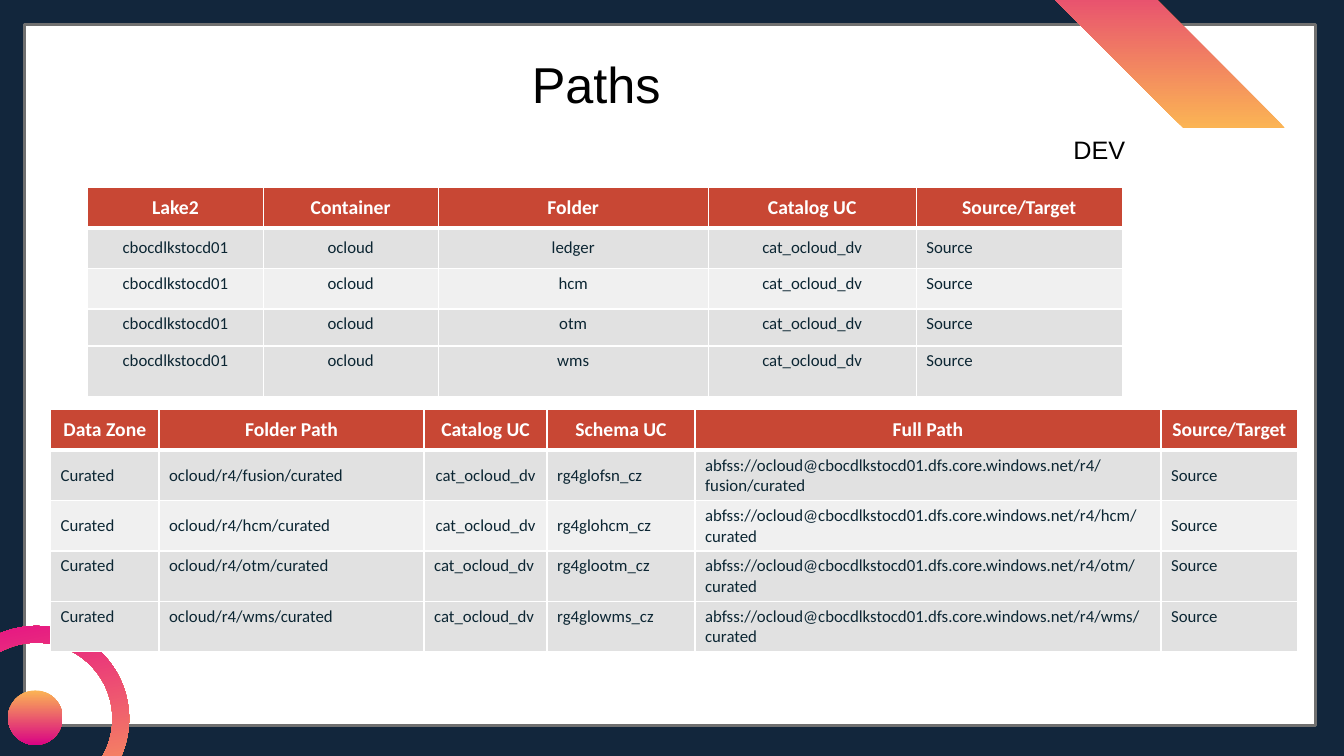
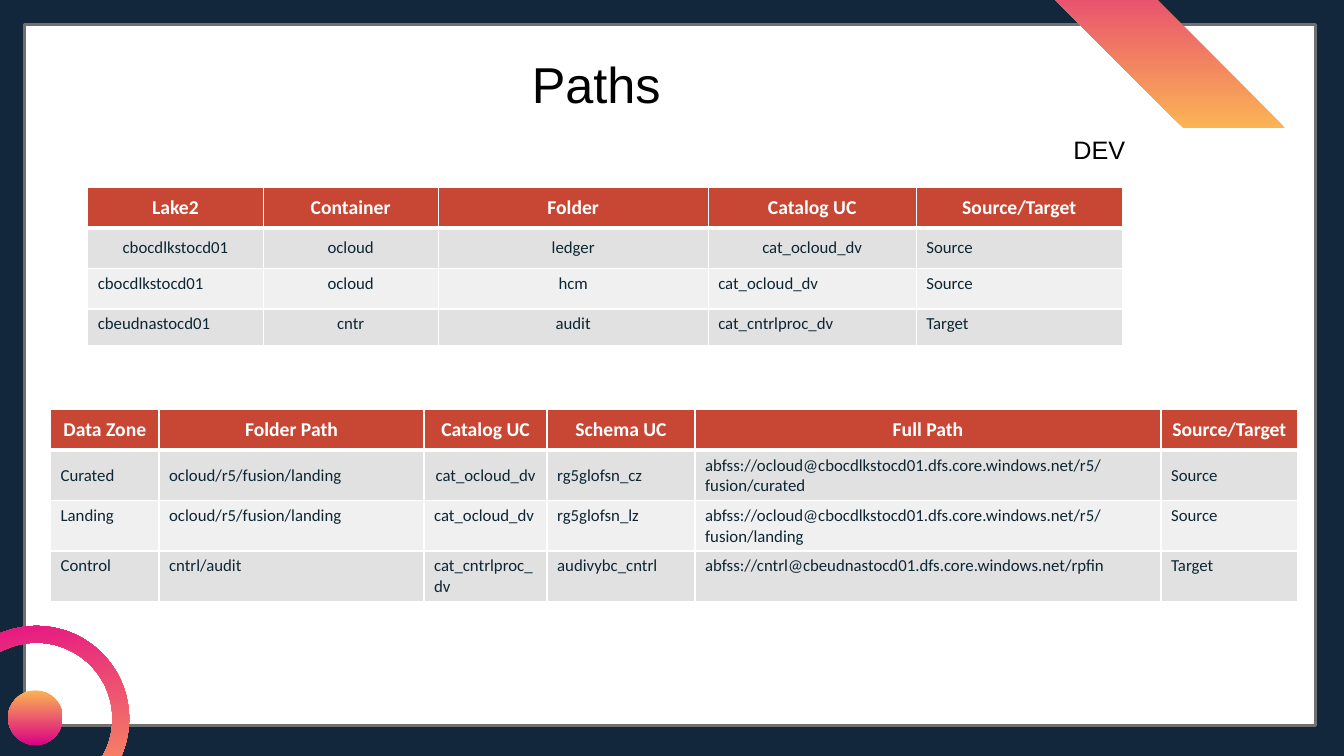
from dataclasses import dataclass

from lxml import etree
from pptx import Presentation
from pptx.dml.color import RGBColor
from pptx.enum.shapes import MSO_SHAPE
from pptx.enum.text import MSO_ANCHOR, MSO_AUTO_SIZE, PP_ALIGN
from pptx.oxml.ns import qn
from pptx.util import Pt

RECTANGLE, DONUT = MSO_SHAPE.RECTANGLE, MSO_SHAPE.DONUT
OVAL, DIAGONAL_STRIPE = MSO_SHAPE.OVAL, MSO_SHAPE.DIAGONAL_STRIPE
TOP, MIDDLE = MSO_ANCHOR.TOP, MSO_ANCHOR.MIDDLE
ALIGNMENTS = {"l": PP_ALIGN.LEFT, "c": PP_ALIGN.CENTER}
NO_AUTOFIT = MSO_AUTO_SIZE.NONE
TITLE_ONLY = 5


@dataclass(frozen=True)
class Theme:
    navy: str = "12263C"
    white: str = "FFFFFF"
    frame: str = "707070"
    orange: str = "FBB454"
    pink: str = "E3028A"
    magenta: str = "D90384"
    black: str = "000000"
    header: str = "C84734"
    ink: str = "0C2633"
    row: str = "E1E1E1"
    row_light: str = "F0F0F0"
    heading_font: str = "Arial"
    table_font: str = "Calibri"
    title_size: float = 36
    label_size: float = 18
    header_size: float = 14
    cell_size: float = 12


THEME = Theme()

# Table geometry: left, top, column widths
STORAGE_GRID = (62.7, 133.9, (125.3, 125, 192.9, 148.6, 147.1))
PATH_GRID = (36.1, 292.5, (77.5, 189.3, 87.9, 105.7, 332.9, 97.5))
STORAGE_HEIGHTS = (28.8, 28.8, 29.2, 26.4, 36.4)
PATH_HEIGHTS = (29, 36, 36, 36, 36)

# Rows: vertical anchor, alignment of each cell, texts
STORAGE_HEADER = (MIDDLE, "ccccc", ("Lake2", "Container", "Folder", "Catalog UC", "Source/Target"))
PATH_HEADER = (MIDDLE, "cccccc", ("Data Zone", "Folder Path", "Catalog UC", "Schema UC",
                                  "Full Path", "Source/Target"))
LAKE = "abfss://ocloud@cbocdlkstocd01.dfs.core.windows.net"
R4_STORAGE_FOLDERS = (("ledger", MIDDLE), ("hcm", TOP), ("otm", TOP), ("wms", TOP))
R4_PATH_FOLDERS = (("fusion", "fsn", MIDDLE, "c"), ("hcm", "hcm", MIDDLE, "c"),
                   ("otm", "otm", TOP, "l"), ("wms", "wms", TOP, "l"))

R4_STORAGE = [STORAGE_HEADER] + [
    (anchor, "ccccl", ("cbocdlkstocd01", "ocloud", folder, "cat_ocloud_dv", "Source"))
    for folder, anchor in R4_STORAGE_FOLDERS]
R4_PATHS = [PATH_HEADER] + [
    (anchor, f"ll{catalog_align}lll",
     ("Curated", f"ocloud/r4/{folder}/curated", "cat_ocloud_dv", f"rg4glo{code}_cz",
      f"{LAKE}/r4/{folder}/curated", "Source"))
    for folder, code, anchor, catalog_align in R4_PATH_FOLDERS]

R5_STORAGE = [
    STORAGE_HEADER,
    (MIDDLE, "ccccl", ("cbocdlkstocd01", "ocloud", "ledger", "cat_ocloud_dv", "Source")),
    (TOP, "lccll", ("cbocdlkstocd01", "ocloud", "hcm", "cat_ocloud_dv", "Source")),
    (TOP, "lccll", ("cbeudnastocd01", "cntr", "audit", "cat_cntrlproc_dv", "Target")),
]
R5_PATHS = [
    PATH_HEADER,
    (MIDDLE, "llclll", ("Curated", "ocloud/r5/fusion/landing", "cat_ocloud_dv",
                        "rg5glofsn_cz", f"{LAKE}/r5/fusion/curated", "Source")),
    (TOP, "llllll", ("Landing", "ocloud/r5/fusion/landing", "cat_ocloud_dv",
                     "rg5glofsn_lz", f"{LAKE}/r5/fusion/landing", "Source")),
    (TOP, "llllll", ("Control", "cntrl/audit", "cat_cntrlproc_dv", "audivybc_cntrl",
                     "abfss://cntrl@cbeudnastocd01.dfs.core.windows.net/rpfin", "Target")),
]


def color(value):
    return RGBColor.from_string(value)


def write(paragraph, text, font_name, size, ink, bold=False):
    run = paragraph.add_run()
    run.text = text
    font = run.font
    font.name, font.size, font.bold = font_name, Pt(size), bold
    font.color.rgb = color(ink)


def add_preset(slide, preset, left, top, width, height, adjustment=None):
    shape = slide.shapes.add_shape(preset, Pt(left), Pt(top), Pt(width), Pt(height))
    shape.shadow.inherit = False
    shape.line.fill.background()
    if adjustment is not None:
        shape.adjustments[0] = adjustment
    return shape


def fill_gradient(shape, end_color, end_position=1):
    shape.fill.gradient()
    shape.fill.gradient_angle = 270
    first, last = shape.fill.gradient_stops
    first.position, last.position = 0, end_position
    first.color.rgb, last.color.rgb = color(THEME.orange), color(end_color)


def decorate_layout(layout, slide):
    """Draw the common frame and ornaments, then move them behind the layout's placeholders."""
    background = layout.background.fill
    background.solid()
    background.fore_color.rgb = color(THEME.navy)

    panel = add_preset(slide, RECTANGLE, 17.3, 17.3, 922.3, 501.1)
    panel.fill.solid()
    panel.fill.fore_color.rgb = color(THEME.white)
    panel.line.color.rgb = color(THEME.frame)
    panel.line.width = Pt(2)

    ring = add_preset(slide, DONUT, -40.3, 447.1, 132.5, 132.5, 0.09)
    ring.rotation = 168.5
    fill_gradient(ring, THEME.pink)

    dot = add_preset(slide, OVAL, 5.8, 493.2, 38.9, 38.9)
    fill_gradient(dot, THEME.magenta)

    stripe = add_preset(slide, DIAGONAL_STRIPE, 712.1, -114.5, 205.9, 205.9, 0.646)
    stripe.rotation = 180
    stripe.element.spPr.get_or_add_xfrm().set("flipH", "1")
    fill_gradient(stripe, THEME.magenta, 0.81)

    for order, ornament in enumerate((panel, ring, dot, stripe)):
        element = ornament.element
        element.nvSpPr.cNvPr.set("id", str(100 + order))
        layout.shapes.element.insert(2 + order, element)


def set_title(slide, text):
    title = slide.shapes.title
    title.left, title.top, title.width, title.height = Pt(355), Pt(17.3), Pt(141.8), Pt(90)
    frame = title.text_frame
    frame.word_wrap, frame.auto_size = True, NO_AUTOFIT
    frame.vertical_anchor = MIDDLE
    paragraph = frame.paragraphs[0]
    paragraph.alignment, paragraph.line_spacing = ALIGNMENTS["c"], 0.9
    write(paragraph, text, THEME.heading_font, THEME.title_size, THEME.black)


def add_environment(slide, text):
    label = slide.shapes.add_textbox(Pt(759.6), Pt(92.2), Pt(152.6), Pt(27.4))
    label.text_frame.word_wrap = True
    write(label.text_frame.paragraphs[0], text, THEME.heading_font, THEME.label_size, THEME.black)


def set_borders(cell, top, bottom):
    properties = cell._tc.get_or_add_tcPr()
    sides = (("a:lnL", 1), ("a:lnR", 1), ("a:lnT", top), ("a:lnB", bottom))
    for order, (tag, width) in enumerate(sides):
        line = etree.Element(qn(tag), w=str(Pt(width)))
        solid = etree.SubElement(line, qn("a:solidFill"))
        etree.SubElement(solid, qn("a:srgbClr"), val=THEME.white)
        properties.insert(order, line)


def format_cell(cell, row_index, text, anchor, alignment):
    is_header = row_index == 0
    cell.vertical_anchor = anchor
    cell.fill.solid()
    body_fill = THEME.row_light if row_index == 2 else THEME.row
    cell.fill.fore_color.rgb = color(THEME.header if is_header else body_fill)
    set_borders(cell, top=3 if row_index == 1 else 1, bottom=3 if is_header else 1)
    paragraph = cell.text_frame.paragraphs[0]
    paragraph.alignment = ALIGNMENTS[alignment]
    write(paragraph, text, THEME.table_font,
          THEME.header_size if is_header else THEME.cell_size,
          THEME.white if is_header else THEME.ink, bold=is_header)


def add_grid(slide, grid, heights, rows):
    left, top, widths = grid
    heights = heights[:len(rows)]
    table = slide.shapes.add_table(len(rows), len(widths), Pt(left), Pt(top),
                                   Pt(sum(widths)), Pt(sum(heights))).table
    table.horz_banding = False
    for column, width in zip(table.columns, widths):
        column.width = Pt(width)
    for row_index, (anchor, alignments, texts) in enumerate(rows):
        table.rows[row_index].height = Pt(heights[row_index])
        for column_index, (text, alignment) in enumerate(zip(texts, alignments)):
            format_cell(table.cell(row_index, column_index), row_index, text, anchor, alignment)


def main():
    deck = Presentation()
    deck.slide_width, deck.slide_height = Pt(960), Pt(540)
    layout = deck.slide_layouts[TITLE_ONLY]

    for number, (storage, paths) in enumerate(((R4_STORAGE, R4_PATHS), (R5_STORAGE, R5_PATHS))):
        slide = deck.slides.add_slide(layout)
        if number == 0:
            decorate_layout(layout, slide)
        add_environment(slide, "DEV")
        set_title(slide, "Paths")
        add_grid(slide, STORAGE_GRID, STORAGE_HEIGHTS, storage)
        add_grid(slide, PATH_GRID, PATH_HEIGHTS, paths)

    deck.save("out.pptx")


if __name__ == "__main__":
    main()
